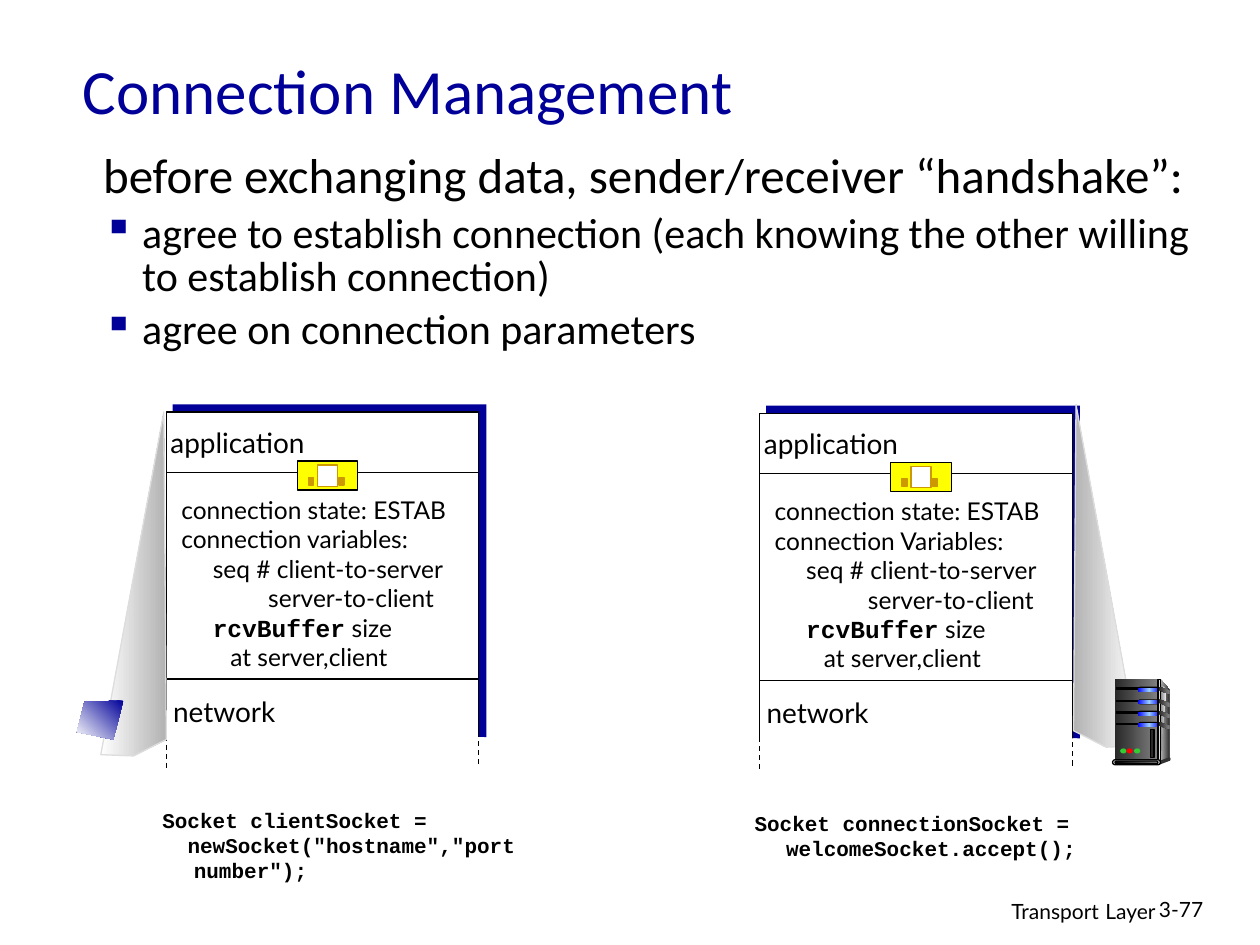
from lxml.etree import SubElement
from pptx import Presentation
from pptx.dml.color import RGBColor
from pptx.enum.dml import MSO_LINE_DASH_STYLE as Dash
from pptx.enum.shapes import MSO_CONNECTOR as Connector, MSO_SHAPE as Preset
from pptx.enum.text import MSO_ANCHOR as Anchor, PP_ALIGN as Align
from pptx.oxml.ns import qn
from pptx.util import Inches, Pt


def color(hex_value):
    return RGBColor.from_string(hex_value)


def apply(target, values):
    for name, value in values.items():
        setattr(target, name, value)


class Painter:
    navy, black, white, gold = "000099", "000000", "FFFFFF", "CC9900"
    steel = ("292929", "808080")
    glow = ("0000FF", "99CCFF", "0000FF")
    heading = dict(name="Calibri", size=Pt(36))
    lead = dict(name="Calibri", size=Pt(28))
    point = dict(name="Calibri", size=Pt(24))
    layer = dict(name="Lato", size=Pt(16))
    state = dict(name="Lato", size=Pt(14))
    footer = dict(name="Lato", size=Pt(12))
    variable = dict(name="Courier New", size=Pt(14), bold=True)
    code = dict(name="Courier New", size=Pt(12), bold=True)

    def __init__(self, slide):
        self.slide = slide
        self.shapes = slide.shapes

    def begin_group(self):
        self.shapes = self.slide.shapes.add_group_shape().shapes

    def end_group(self):
        self.shapes = self.slide.shapes

    def finish(self, shape, fill, line, angle=0):
        shape.shadow.inherit = False
        if isinstance(fill, str):
            shape.fill.solid()
            shape.fill.fore_color.rgb = color(fill)
        else:
            shape.fill.gradient()
            gradient = shape._element.spPr.find(qn("a:gradFill"))
            stops = gradient.find(qn("a:gsLst"))
            for stop in list(stops):
                stops.remove(stop)
            for i, value in enumerate(fill):
                stop = SubElement(stops, qn("a:gs"), pos=str(100000 * i // (len(fill) - 1)))
                SubElement(stop, qn("a:srgbClr"), val=value)
            linear = gradient.find(qn("a:lin"))
            linear.set("ang", str(angle * 60000))
            linear.set("scaled", "0")
        if line:
            shape.line.color.rgb = color(line)
            shape.line.width = Pt(0.75)
        else:
            shape.line.fill.background()

    def box(self, x, y, w, h, fill, line=None, preset=Preset.RECTANGLE):
        shape = self.shapes.add_shape(preset, Inches(x), Inches(y), Inches(w), Inches(h))
        if preset == Preset.ROUNDED_RECTANGLE:
            shape.adjustments[0] = 0.5
        self.finish(shape, fill, line)

    def pill(self, x, y, w, h, fill, line=None):
        self.box(x, y, w, h, fill, line, Preset.ROUNDED_RECTANGLE)

    def dot(self, x, y, w, h, fill):
        self.box(x, y, w, h, fill, preset=Preset.OVAL)

    def outline(self, points, fill, line=None, angle=0):
        corners = [(Inches(x), Inches(y)) for x, y in points]
        builder = self.shapes.build_freeform(*corners[0])
        builder.add_line_segments(corners[1:], close=True)
        self.finish(builder.convert_to_shape(), fill, line, angle)

    def rule(self, x1, y1, x2, y2, dash=None):
        rule = self.shapes.add_connector(
            Connector.STRAIGHT, Inches(x1), Inches(y1), Inches(x2), Inches(y2))
        rule.line.color.rgb = color(self.black)
        apply(rule.line, dict(width=Pt(0.75), dash_style=dash))
        SubElement(rule._element.spPr, qn("a:effectLst"))

    def text(self, x, y, w, h, paragraphs, ink=black, wrap=True, anchor=Anchor.TOP):
        frame = self.shapes.add_textbox(Inches(x), Inches(y), Inches(w), Inches(h)).text_frame
        apply(frame, dict(word_wrap=wrap, vertical_anchor=anchor))
        for i, (runs, layout) in enumerate(paragraphs):
            paragraph = frame.add_paragraph() if i else frame.paragraphs[0]
            self.lay_out(paragraph, **layout)
            for words, style in runs:
                run = paragraph.add_run()
                run.text = words
                apply(run.font, style)
                run.font.color.rgb = color(ink)

    def lay_out(self, paragraph, left=0, first=0, bullet=None, **values):
        properties = paragraph._p.get_or_add_pPr()
        properties.set("marL", str(Inches(left)))
        properties.set("indent", str(Inches(first)))
        if bullet:
            tint = SubElement(properties, qn("a:buClr"))
            SubElement(tint, qn("a:srgbClr"), val=self.navy)
            SubElement(properties, qn("a:buChar"), char=bullet)
        apply(paragraph, values)

    def stack(self, x, y, variables, reply_indent):
        self.box(x + 0.05, y - 0.06, 2.49, 2.64, self.navy)
        self.box(x, y, 2.48, 2.7, self.white, self.black)
        self.rule(x, y + 0.48, x + 2.48, y + 0.48)
        lines = [
            ([("connection state: ESTAB", self.state)], {}),
            ([(variables, self.state)], {}),
            ([("seq # client-to-server", self.state)], dict(left=0.25)),
            ([("server-to-client", self.state)], dict(left=reply_indent)),
            ([("rcvBuffer", self.variable), (" size", self.state)], dict(left=0.25)),
            ([("at server,client", self.state)], dict(left=0.39)),
        ]
        self.text(x + 0.02, y + 0.61, 2.55, 1.74, lines)
        self.begin_group()
        self.box(x + 1.04, y + 0.39, 0.48, 0.23, "FFFF00", self.black)
        self.box(x + 1.2, y + 0.42, 0.16, 0.17, self.white, self.gold)
        for offset in (1.13, 1.37):
            self.box(x + offset, y + 0.52, 0.04, 0.06, self.gold, self.gold)
        self.end_group()
        self.rule(x, y + 2.12, x + 2.48, y + 2.12)
        for name, dx, dy, width in (("application", -0.11, 0.06, 1.35),
                                    ("network", -0.07, 2.19, 1.06)):
            self.text(x + dx, y + dy, width, 0.37,
                      [([(name, self.layer)], dict(alignment=Align.CENTER))], wrap=False)
        self.box(x - 0.03, y + 2.58, 2.55, 0.2, self.white)
        for dx, dy in ((0, 2.57), (2.48, 2.54)):
            self.rule(x + dx, y + dy, x + dx, y + dy + 0.26, Dash.DASH)

    def server(self):
        self.begin_group()
        self.outline([(9.21, 5.39), (9.28, 5.47), (9.28, 6.01), (9.19, 6.04)],
                     ("DDDDDD", "333333"))
        self.box(8.85, 5.39, 0.34, 0.65, self.steel)
        self.outline([(9.21, 5.43), (9.26, 5.48), (9.23, 5.75), (9.21, 6.02)],
                     ("808080", "F8F8F8"))
        bays = (5.45, 5.55, 5.64, 5.73)
        for y in bays:
            self.box(8.86, y + 0.01, 0.19, 0.01, self.black, self.black)
            self.pill(9.03, y, 0.19, 0.04, self.black)
            self.pill(9.03, y + 0.01, 0.18, 0.03, self.glow)
        self.box(9.19, 5.39, 0.02, 0.65, ("333333", "DDDDDD", "333333"), self.black)
        for y in bays:
            self.outline([(9.2, y), (9.28, y + 0.03), (9.28, y + 0.06), (9.2, y + 0.03)],
                         self.steel)
        self.dot(9.27, 6.01, 0.02, 0.03, "333333")
        self.outline([(9.2, 6.04), (9.2, 6.07), (9.28, 6.04), (9.28, 6.01)], "333333")
        self.pill(8.83, 6.03, 0.38, 0.04, "DDDDDD", self.black)
        self.pill(8.85, 6.04, 0.34, 0.02, (self.black, "808080"), self.black)
        for x, lamp in ((8.89, "33CC33"), (8.94, "FF0000"), (9, "33CC33")):
            self.dot(x, 5.94, 0.05, 0.04, lamp)
        self.box(9.13, 5.79, 0.03, 0.22, "292929", self.black)
        self.end_group()


def main():
    deck = Presentation()
    apply(deck, dict(slide_width=Inches(10), slide_height=Inches(7.5)))
    art = Painter(deck.slides.add_slide(deck.slide_layouts[6]))

    art.text(0.56, 0.21, 8.5, 1, [([("Connection Management", art.heading)], {})],
             art.navy, anchor=Anchor.MIDDLE)
    hanging = dict(left=0.31, first=-0.31, line_spacing=0.85)
    bulleted = dict(hanging, bullet="▪", space_before=Pt(6))
    agreements = (
        "agree to establish connection (each knowing the other willing to establish connection)",
        "agree on connection parameters",
    )
    handshake = [([("before exchanging data, sender/receiver “handshake”:", art.lead)], hanging)]
    handshake += [([(words, art.point)], bulleted) for words in agreements]
    art.text(0.72, 1.17, 9.12, 2.39, handshake)

    art.stack(1.32, 3.27, "connection variables:", 0.69)
    art.outline([(0.8, 5.99), (1.3, 3.27), (1.32, 5.87), (1.06, 6)],
                ("FFFFFF", "B2B2B2"), "DDDDDD")
    art.stack(6.03, 3.28, "connection Variables:", 0.74)
    art.outline([(9.03, 5.92), (8.54, 3.21), (8.52, 5.8), (8.78, 5.93)],
                ("B2B2B2", "FFFFFF"), "DDDDDD")

    art.text(1.19, 6.36, 3.16, 0.7, [
        ([("Socket clientSocket =", art.code)], dict(left=0.25, first=-0.25)),
        ([('newSocket("hostname","port number");', art.code)], dict(left=0.25, first=-0.05)),
    ])
    art.text(5.89, 6.38, 3.16, 0.5, [
        ([("Socket connectionSocket = welcomeSocket.accept();", art.code)],
         dict(left=0.25, first=-0.25)),
    ])
    art.outline([(0.98, 5.56), (0.67, 5.57), (0.61, 5.81), (0.9, 5.87)],
                (art.navy, art.white), angle=135)
    art.server()

    art.text(6.1, 7.05, 3.17, 0.31, [
        ([("Transport", art.footer), (" ", art.state), ("Layer", art.footer)],
         dict(alignment=Align.RIGHT)),
    ])
    art.text(9.1, 7.07, 0.74, 0.3, [([("3-77", art.footer)], {})])
    deck.save("out.pptx")


if __name__ == "__main__":
    main()
